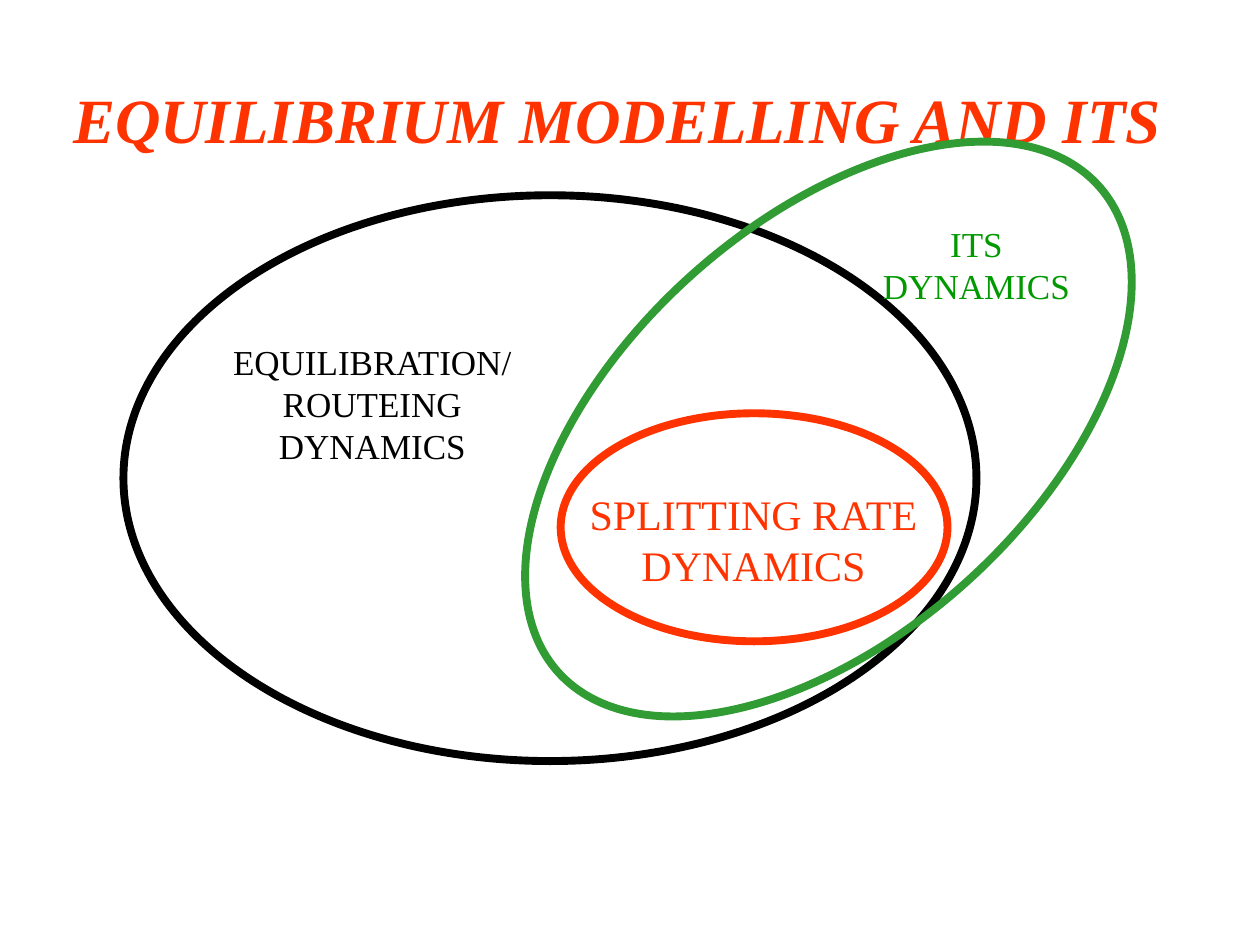
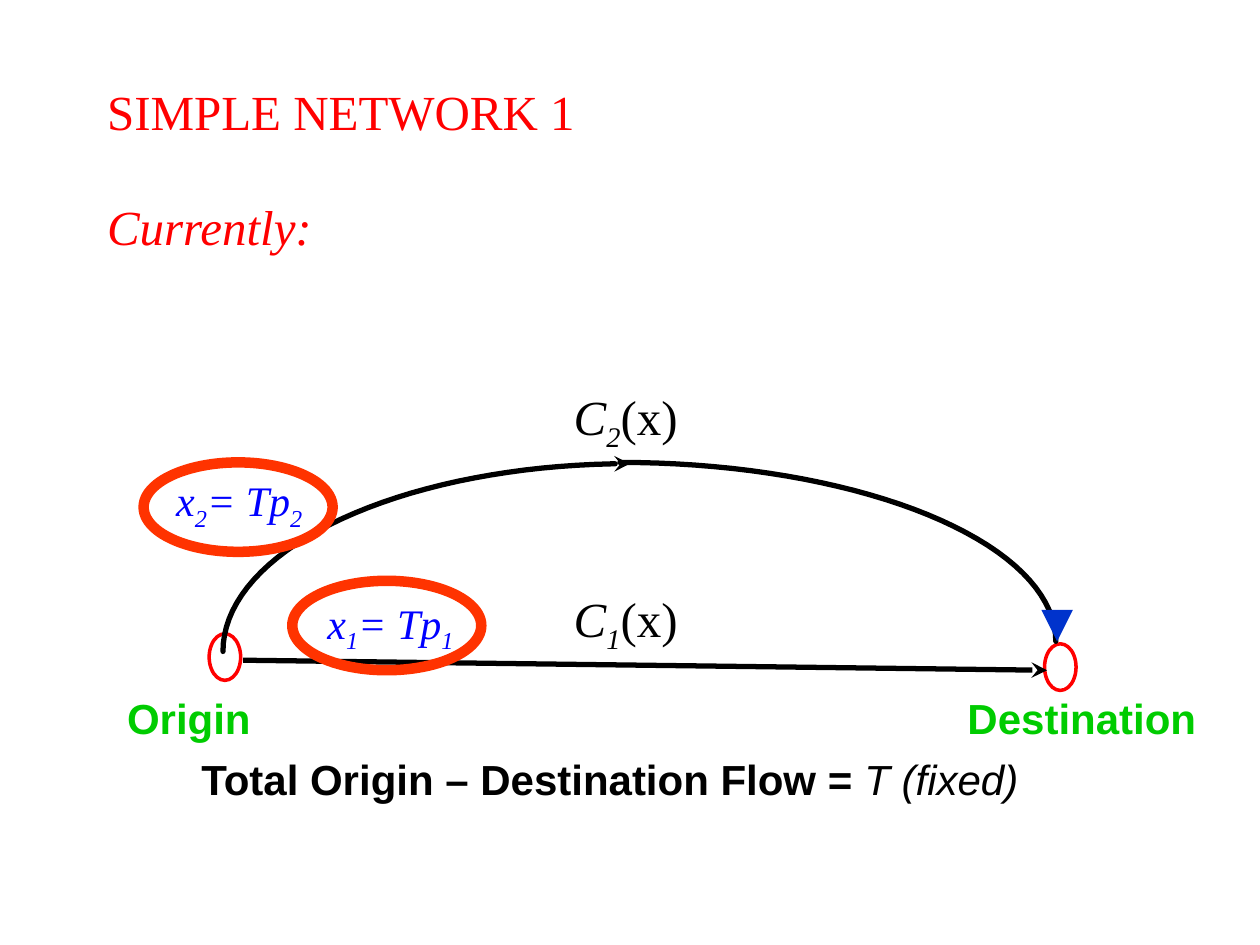
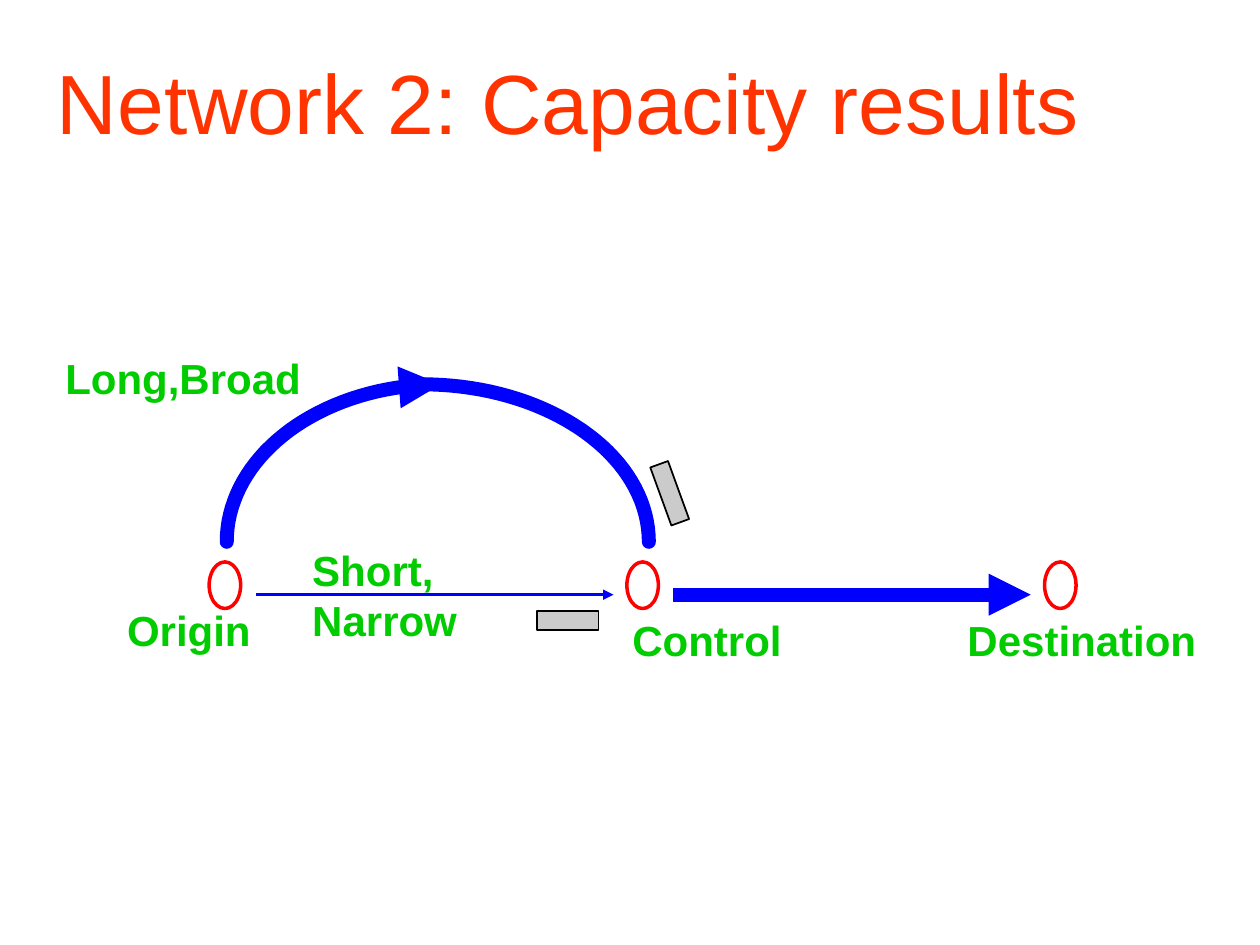
from math import cos, radians, sin

from pptx import Presentation
from pptx.dml.color import RGBColor
from pptx.enum.shapes import MSO_CONNECTOR, MSO_SHAPE
from pptx.enum.text import MSO_ANCHOR, MSO_AUTO_SIZE, PP_ALIGN
from pptx.oxml.ns import qn
from pptx.util import Inches, Pt
from lxml.etree import SubElement

SERIF, SANS = "Times New Roman", "Arial"
BLACK, ORANGE, RED = "000000", "FF3300", "FF0000"
BLUE, NAVY, GREY = "0000FF", "0033CC", "CBCBCB"
LABEL_GREEN, ITS_GREEN, RING_GREEN = "00CC00", "009900", "319B34"
TITLE_ONLY = 5
ORIGIN_X, NODE_STEP = 1.66, 3.315


def rgb(value):
    return RGBColor.from_string(value)


def write(tf, paragraphs, font=SERIF, size=24, color=BLACK, bold=False,
          italic=False, align=PP_ALIGN.LEFT, gap=0):
    """Each paragraph is a string or a list of (text, overrides) runs."""
    for i, runs in enumerate(paragraphs):
        p = tf.paragraphs[0] if i == 0 else tf.add_paragraph()
        p.alignment = align
        p.space_before = Pt(gap if i else 0)
        for text, changes in [(runs, {})] if isinstance(runs, str) else runs:
            r = p.add_run()
            r.text = text
            r.font.name = font
            r.font.size = Pt(size)
            r.font.color.rgb = rgb(color)
            r.font.bold = changes.get("bold", bold)
            r.font.italic = changes.get("italic", italic)
            if changes.get("sub"):
                r._r.get_or_add_rPr().set("baseline", "-25000")


class Deck:
    def __init__(self):
        self.prs = Presentation()
        self.prs.slide_width, self.prs.slide_height = Inches(10), Inches(7.5)
        self.s = None

    def slide(self, paragraphs, box, inset=(0.1, 0.05), **fmt):
        """Start a slide and set its title; inset is (left, top)."""
        self.s = self.prs.slides.add_slide(self.prs.slide_layouts[TITLE_ONLY])
        sp = self.s.shapes.title
        sp.left, sp.top, sp.width, sp.height = map(Inches, box)
        tf = sp.text_frame
        tf.auto_size = MSO_AUTO_SIZE.NONE
        tf.vertical_anchor = MSO_ANCHOR.TOP
        tf.margin_left, tf.margin_top = map(Inches, inset)
        write(tf, paragraphs, **fmt)

    def text(self, paragraphs, *box, wrap=True, **fmt):
        tf = self.s.shapes.add_textbox(*map(Inches, box)).text_frame
        tf.word_wrap = wrap
        write(tf, paragraphs, **fmt)

    def label(self, text, *box, wrap=False):
        self.text([text], *box, wrap=wrap, font=SANS, color=LABEL_GREEN, bold=True)

    def outline(self, sp, color, width, fill=None):
        sp.shadow.inherit = False
        if fill:
            sp.fill.solid()
            sp.fill.fore_color.rgb = rgb(fill)
        else:
            sp.fill.background()
        sp.line.color.rgb = rgb(color)
        sp.line.width = Pt(width)

    def shape(self, kind, box, color, width, fill=None, rotation=0):
        sp = self.s.shapes.add_shape(kind, *map(Inches, box))
        sp.rotation = rotation
        self.outline(sp, color, width, fill)

    def ring(self, *box, color=ORANGE, width=4.5, rotation=0):
        self.shape(MSO_SHAPE.OVAL, box, color, width, rotation=rotation)

    def node(self, step, top):
        self.ring(ORIGIN_X + step * NODE_STEP, top, 0.25, 0.37, color=RED, width=2)

    def signal(self, left, top, rotation=0):
        self.shape(MSO_SHAPE.RECTANGLE, (left, top, 0.49, 0.15), BLACK, 1, GREY, rotation)

    def arrowhead(self, sp, kind):
        SubElement(sp.line._get_or_add_ln(), qn("a:tailEnd"), type=kind)

    def arrow(self, x1, y1, x2, y2, color, width, head="triangle"):
        sp = self.s.shapes.add_connector(
            MSO_CONNECTOR.STRAIGHT, *map(Inches, (x1, y1, x2, y2)))
        sp.line.color.rgb = rgb(color)
        sp.line.width = Pt(width)
        self.arrowhead(sp, head)
        SubElement(sp._element.spPr, qn("a:effectLst"))

    def quarter(self, cx, cy, rx, ry, start, color, width, head=None):
        """Draw a clockwise quarter ellipse from the start angle in degrees."""
        angles = [radians(start - 2.5 * i) for i in range(37)]
        points = [(Inches(cx + rx * cos(a)), Inches(cy - ry * sin(a))) for a in angles]
        builder = self.s.shapes.build_freeform(*points[0])
        builder.add_line_segments(points[1:], close=False)
        sp = builder.convert_to_shape()
        self.outline(sp, color, width)
        ln = sp.line._get_or_add_ln()
        ln.set("cap", "rnd")
        SubElement(ln, qn("a:round"))
        if head:
            self.arrowhead(sp, head)


def equilibrium_slide(d):
    d.slide(["EQUILIBRIUM MODELLING AND ITS"], (0.35, 0.52, 9, 0.95), (0.23, 0.12),
            size=36, color=ORANGE, bold=True, italic=True)
    # Overlapping sets
    d.ring(0.98, 1.55, 6.77, 4.49, color=BLACK)
    d.ring(3.69, 1.77, 5.77, 3.27, color=RING_GREEN, rotation=318)
    d.ring(4.45, 3.28, 3.07, 1.81)
    # Set names
    center = PP_ALIGN.CENTER
    d.text(["EQUILIBRATION/", "ROUTEING", "DYNAMICS"], 1.22, 2.65, 3.47, 1.1,
           size=20, align=center)
    d.text(["ITS", "DYNAMICS"], 6.57, 1.72, 2.36, 0.77,
           size=20, color=ITS_GREEN, align=center)
    d.text(["SPLITTING RATE", "DYNAMICS"], 4.13, 3.83, 3.7, 0.9,
           color=ORANGE, align=center)


def simple_network_slide(d):
    d.slide(["SIMPLE NETWORK 1", [("Currently:", {"italic": True})]],
            (0.75, 0.6, 8.58, 1.5), size=28, color=RED, gap=32)
    # Nodes and routes
    d.node(0, 5.03)
    d.node(2, 5.11)
    d.arrow(1.93, 5.24, 8.31, 5.32, BLACK, 3, "stealth")
    d.quarter(4.92, 5.09, 3.46, 1.42, 90, BLACK, 3)
    d.arrow(8.39, 4.93, 8.39, 5.09, NAVY, 6)
    d.quarter(5, 5.17, 3.23, 1.49, 180, BLACK, 3, "stealth")
    d.label("Origin", 0.91, 5.45, 1.18, 0.5)
    d.label("Destination", 7.58, 5.45, 2.02, 0.5)
    # Flow and cost on each route
    sub, upright = {"sub": True}, {"italic": False}
    routes = [("2", (1.3, 3.72, 2.08, 0.56), True, (1.14, 3.67), 3.02),
              ("1", (2.5, 4.69, 1.2, 0.56), False, (2.32, 4.61), 4.62)]
    for route, flow_box, wrap, ring_at, cost_top in routes:
        d.text([[("x", {}), (route, sub), ("= Tp", {}), (route, sub)]], *flow_box,
               wrap=wrap, color=BLUE, italic=True)
        d.ring(*ring_at, 1.5, 0.71, width=6)
        d.text([[("C", {}), (route, sub), ("(x)", upright)]], 3.82, cost_top, 2.29, 0.63,
               size=28, italic=True, align=PP_ALIGN.CENTER)
    # Total flow
    d.text([[("Total Origin – Destination Flow = ", {"bold": True}),
             ("T (fixed)", {"italic": True})]],
           0.9, 5.93, 7.88, 0.5, font=SANS, align=PP_ALIGN.CENTER)


def capacity_slide(d):
    d.slide(["Network 2: Capacity results"], (0.35, 0.28, 9, 1.25), (0.1, 0.12),
            font=SANS, size=48, color=ORANGE)
    # Nodes and routes
    for step in range(3):
        d.node(step, 4.46)
    d.arrow(2.03, 4.72, 4.87, 4.72, BLUE, 2)
    d.arrow(5.34, 4.72, 8.18, 4.72, BLUE, 8)
    d.quarter(3.5, 4.3, 1.7, 1.25, 180, BLUE, 8, "triangle")
    d.quarter(3.35, 4.3, 1.8, 1.25, 90, BLUE, 8)
    # Signals at the control
    d.signal(4.26, 4.85)
    d.signal(5.07, 3.84, rotation=250)
    # Labels
    d.label("Origin", 0.91, 4.75, 1.18, 0.5)
    d.label("Destination", 7.58, 4.83, 2.02, 0.5)
    d.label("Control", 4.92, 4.83, 1.39, 0.5)
    d.label("Long,Broad", 0.42, 2.75, 2.08, 0.5, wrap=True)
    d.label("Short, Narrow", 2.38, 4.27, 2.4, 0.5)


def main():
    d = Deck()
    equilibrium_slide(d)
    simple_network_slide(d)
    capacity_slide(d)
    d.prs.save("out.pptx")


if __name__ == "__main__":
    main()
